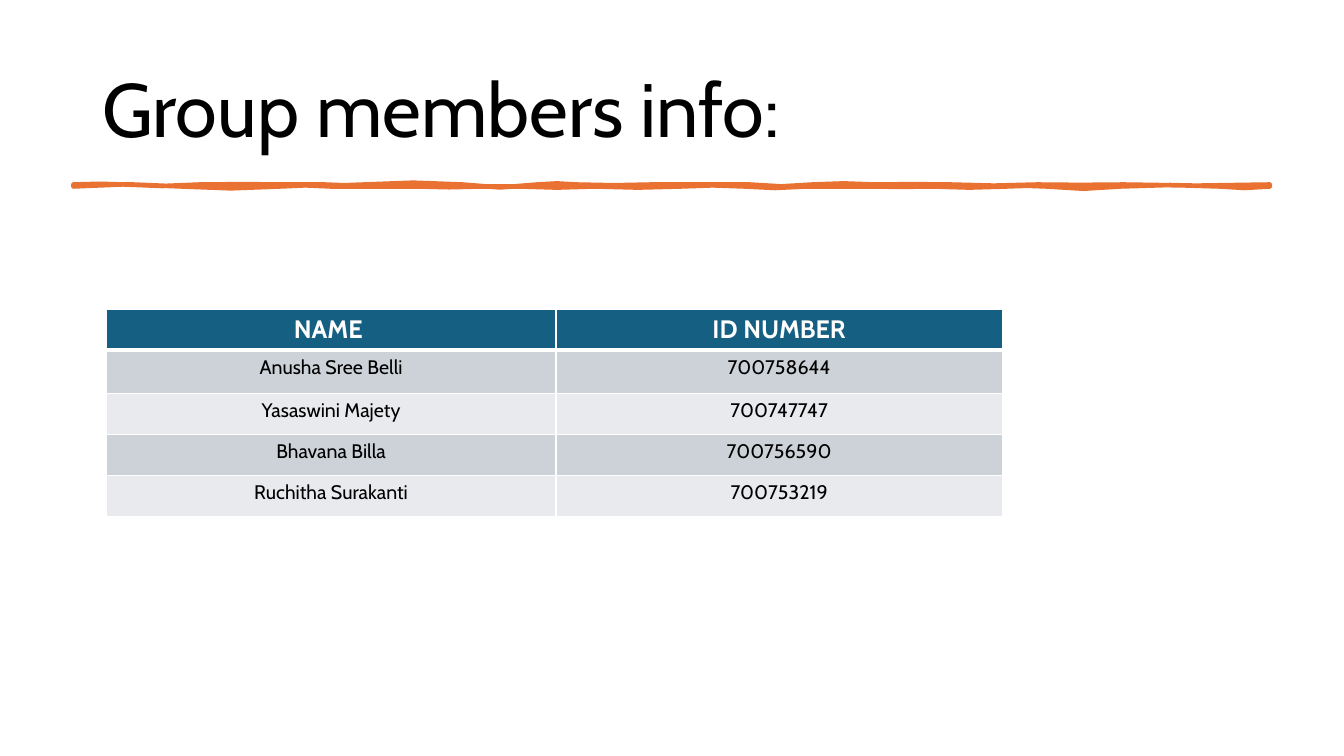
from lxml import etree
from pptx import Presentation
from pptx.dml.color import RGBColor
from pptx.enum.text import MSO_ANCHOR, PP_ALIGN
from pptx.oxml.ns import qn
from pptx.util import Cm, Pt

MIDDLE = MSO_ANCHOR.MIDDLE
CENTER = PP_ALIGN.CENTER

FONT = "Cabin"
COLORS = {
    "text": "000000",
    "white": "FFFFFF",
    "accent": "E97132",
    "header": "156082",
    "odd_row": "CCD2D8",
    "even_row": "E8EAED",
}

MEMBERS = [
    ("NAME ", "ID NUMBER"),
    ("Anusha Sree Belli", "700758644"),
    ("Yasaswini Majety", "700747747"),
    ("Bhavana Billa", "700756590"),
    ("Ruchitha Surakanti", "700753219"),
]
COLUMN_WIDTHS = [11.33, 11.25]
ROW_HEIGHTS = [1.03, 1.1, 1.03, 1.03, 1.03]

# Brush stroke: each wave is (end x in cm, first bend, second bend)
STROKE_LEFT = 1.85
STROKE_TOP = 4.65
STROKE_THICKNESS = 0.05
BEND = 0.025  # cm per unit of bend
STEPS = 2  # segments per wave
TOP_WAVES = [
    (3.15, -2, 0), (5.03, 1, 3), (7.21, -2, 1), (8.18, 0, 0),
    (9.17, 1, 1), (11.66, -1, -4), (13.54, 5, 3), (14.53, -2, -1),
    (16.41, 2, 0), (18.9, 1, -1), (20.47, 2, 3), (22.05, -2, -1),
    (23.95, 2, -3), (26.14, 4, -1), (28.32, 2, -1), (32, 2, 1),
]
BOTTOM_WAVES = [
    (30.73, 2, 2), (28.24, -1, -3), (26.37, 4, 2), (25.37, -1, -1),
    (23.5, 2, 1), (21.92, 0, 1), (20.32, 0, 0), (18.75, 1, 3),
    (17.17, -2, -1), (14.99, 2, 1), (13.08, 0, 3), (12.12, -2, 2),
    (10.52, -1, 3), (8.33, -2, 2), (7.06, -2, -1), (4.57, 2, 3),
    (STROKE_LEFT, -3, -3),
]


def color(name):
    return RGBColor.from_string(COLORS[name])


def style_paragraph(paragraph, size, color_name, bold=False):
    paragraph.font.name = FONT
    paragraph.font.size = Pt(size)
    paragraph.font.bold = bold
    paragraph.font.color.rgb = color(color_name)


def add_title(slide, text):
    box = slide.shapes.add_textbox(Cm(2.33), Cm(1.01), Cm(29.21), Cm(3.68))
    frame = box.text_frame
    frame.word_wrap = True
    frame.vertical_anchor = MIDDLE
    paragraph = frame.paragraphs[0]
    paragraph.text = text
    paragraph.line_spacing = 0.9
    style_paragraph(paragraph, 54, "text")


def wave_points(start, base, waves):
    """Points along a chain of cubic waves that rest on one base line."""
    points = []
    for end, first, second in waves:
        for step in range(1, STEPS + 1):
            t = step / STEPS
            bend = 3 * t * (1 - t) * ((1 - t) * first + t * second)
            points.append((Cm(start + t * (end - start)),
                           Cm(base + BEND * bend)))
        start = end
    return points


def add_brush_stroke(slide):
    right = TOP_WAVES[-1][0]
    bottom = STROKE_TOP + STROKE_THICKNESS
    builder = slide.shapes.build_freeform(Cm(STROKE_LEFT), Cm(STROKE_TOP))
    builder.add_line_segments(
        wave_points(STROKE_LEFT, STROKE_TOP, TOP_WAVES)
        + [(Cm(right), Cm(bottom))]
        + wave_points(right, bottom, BOTTOM_WAVES))
    shape = builder.convert_to_shape()
    shape.shadow.inherit = False
    shape.fill.solid()
    shape.fill.fore_color.rgb = color("accent")
    shape.line.color.rgb = color("accent")
    shape.line.width = Pt(3.25)


def add_cell_border(cell, side, width):
    properties = cell._tc.get_or_add_tcPr()
    line = etree.SubElement(properties, qn("a:ln" + side), w=str(Pt(width)))
    fill = etree.SubElement(line, qn("a:solidFill"))
    etree.SubElement(fill, qn("a:srgbClr"), val=COLORS["white"])


def fill_cell(cell, text, row_index):
    is_header = row_index == 0
    # Borders come before the fill in the cell properties
    for side in "LRTB":
        thick = (is_header and side == "B") or (row_index == 1 and side == "T")
        add_cell_border(cell, side, 3 if thick else 1)
    row_color = "odd_row" if row_index % 2 else "even_row"
    cell.fill.solid()
    cell.fill.fore_color.rgb = color("header" if is_header else row_color)
    paragraph = cell.text_frame.paragraphs[0]
    paragraph.text = text
    paragraph.alignment = CENTER
    if is_header:
        style_paragraph(paragraph, 18, "white", bold=True)
    else:
        style_paragraph(paragraph, 14, "text")


def add_members_table(slide):
    table = slide.shapes.add_table(
        len(MEMBERS), len(COLUMN_WIDTHS), Cm(2.68), Cm(7.79),
        Cm(sum(COLUMN_WIDTHS)), Cm(sum(ROW_HEIGHTS))).table
    for column, width in zip(table.columns, COLUMN_WIDTHS):
        column.width = Cm(width)
    for row_index, values in enumerate(MEMBERS):
        table.rows[row_index].height = Cm(ROW_HEIGHTS[row_index])
        for column_index, text in enumerate(values):
            fill_cell(table.cell(row_index, column_index), text, row_index)


def main():
    presentation = Presentation()
    presentation.slide_width = Cm(33.87)
    presentation.slide_height = Cm(19.05)
    slide = presentation.slides.add_slide(presentation.slide_layouts[6])
    add_title(slide, "Group members info:")
    add_brush_stroke(slide)
    add_members_table(slide)
    presentation.save("out.pptx")


if __name__ == "__main__":
    main()
